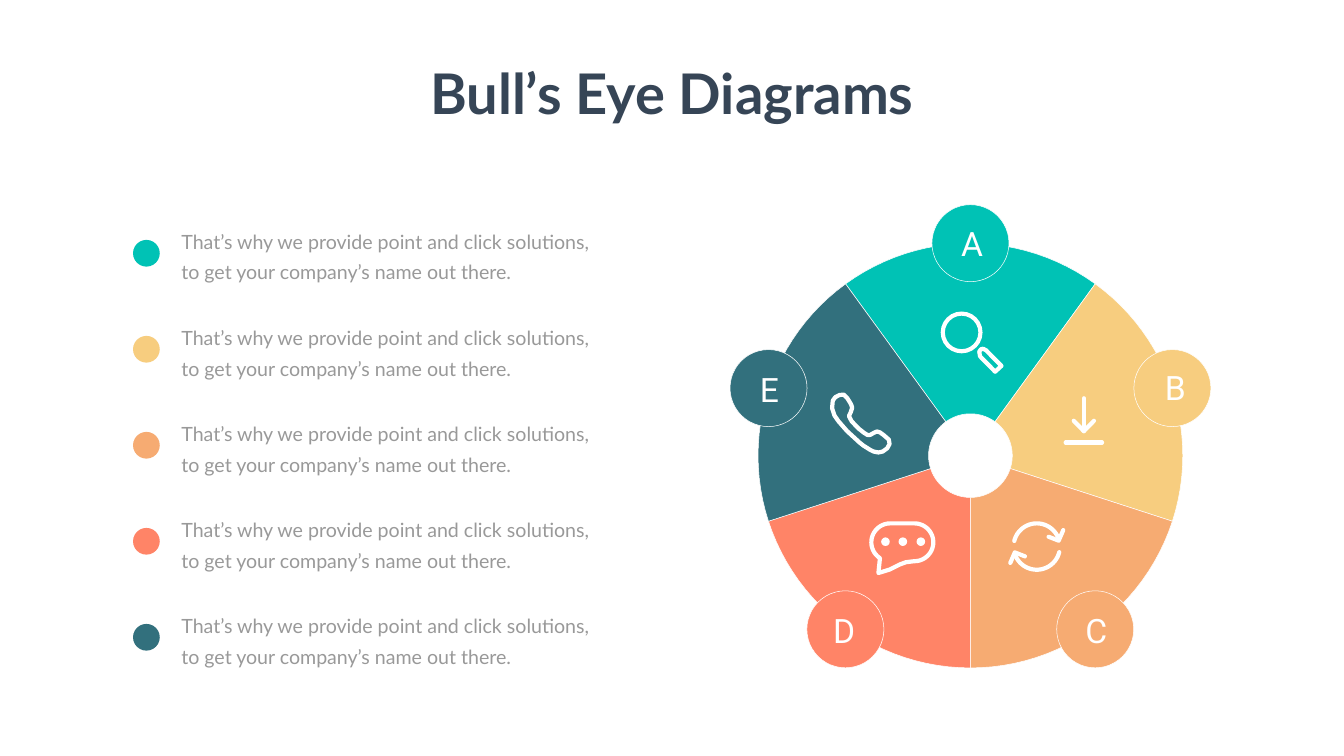
from dataclasses import dataclass
from math import cos, radians, sin

from lxml.etree import SubElement
from pptx import Presentation
from pptx.dml.color import RGBColor
from pptx.enum.shapes import MSO_SHAPE
from pptx.enum.text import MSO_ANCHOR, MSO_AUTO_SIZE, PP_ALIGN
from pptx.oxml.ns import qn
from pptx.util import Pt

Point = tuple[float, float]

WHITE = "FFFFFF"
CENTER = (1386, 650.9)
OUTER_RADIUS, INNER_RADIUS = 303.3, 59.8
BADGE_SIZE = 110
LETTER_WIDTH, LETTER_HEIGHT = 64.1, 65.5
DOT_SIZE, ROW_PITCH = 38.2, 137.15
ICON_STROKE = 6
MESSAGE = ("That’s why we provide point and click solutions, "
           "to get your company’s name out there.")


@dataclass
class Segment:
    letter: str
    color: str
    badge: Point          # centre of the badge
    letter_center: Point


SEGMENTS = [
    Segment("A", "00C2B5", (1386, 347.4), (1388.5, 347.4)),
    Segment("B", "F7CD7F", (1674.4, 554.4), (1678.7, 554)),
    Segment("C", "F6AB72", (1564.2, 899), (1565.6, 901)),
    Segment("D", "FF8467", (1207.4, 899), (1205.6, 901)),
    Segment("E", "32707D", (1097.6, 554.4), (1099, 556.2)),
]


def rgb(color: str) -> RGBColor:
    return RGBColor.from_string(color)


def arc(center: Point, radius: float, start: float, end: float) -> list[Point]:
    """Points along an arc, in degrees clockwise from the right."""
    steps = max(2, round(abs(end - start) / 3))
    angles = [radians(start + (end - start) * i / steps) for i in range(steps + 1)]
    return [(center[0] + radius * cos(a), center[1] + radius * sin(a)) for a in angles]


def paint(shape, fill: str | None, line: str | None = None, width: float = 0.75) -> None:
    shape.shadow.inherit = False
    if fill:
        shape.fill.solid()
        shape.fill.fore_color.rgb = rgb(fill)
    else:
        shape.fill.background()
    if line:
        shape.line.color.rgb = rgb(line)
        shape.line.width = Pt(width)
    else:
        shape.line.fill.background()


def add_outline(page, contours: list[list[Point]], closed: bool):
    """Freeform made of one or more contours."""
    first, *others = [[(Pt(x), Pt(y)) for x, y in contour] for contour in contours]
    builder = page.shapes.build_freeform(*first[0], scale=1.0)
    builder.add_line_segments(first[1:], close=closed)
    for contour in others:
        builder.move_to(*contour[0])
        builder.add_line_segments(contour[1:], close=closed)
    return builder.convert_to_shape()


def add_stroke(page, *contours: list[Point], closed: bool = False) -> None:
    """White icon line with round ends and corners."""
    shape = add_outline(page, list(contours), closed)
    paint(shape, None, WHITE, ICON_STROKE)
    line = shape._element.spPr.find(qn("a:ln"))
    line.set("cap", "rnd")
    SubElement(line, qn("a:round"))


def add_preset(page, kind, left: float, top: float, size: float, fill: str,
               line: str | None = None):
    shape = page.shapes.add_shape(kind, Pt(left), Pt(top), Pt(size), Pt(size))
    paint(shape, fill, line)
    return shape


def write(box, text: str, color: str, font: dict, paragraph: dict) -> None:
    para = box.text_frame.paragraphs[0]
    for name, value in paragraph.items():
        setattr(para, name, value)
    span = para.add_run()
    span.text = text
    span.font.color.rgb = rgb(color)
    for name, value in font.items():
        setattr(span.font, name, value)


def add_text(page, left: float, top: float, width: float, height: float,
             text: str, color: str, font: dict, paragraph: dict) -> None:
    box = page.shapes.add_textbox(Pt(left), Pt(top), Pt(width), Pt(height))
    box.text_frame.word_wrap = True
    write(box, text, color, font, paragraph)


def add_title(page) -> None:
    title = page.shapes.title
    place = {"left": Pt(600.5), "top": Pt(80.6), "width": Pt(718.6), "height": Pt(104.4)}
    for name, value in place.items():
        setattr(title, name, value)
    frame = {"word_wrap": False, "auto_size": MSO_AUTO_SIZE.NONE,
             "vertical_anchor": MSO_ANCHOR.TOP}
    for name, value in frame.items():
        setattr(title.text_frame, name, value)
    write(title, "Bull’s Eye Diagrams", "364556",
          {"name": "Lato", "size": Pt(80), "bold": True}, {"alignment": PP_ALIGN.CENTER})


def add_wheel(page) -> None:
    sweep = 360 / len(SEGMENTS)
    for index, segment in enumerate(SEGMENTS):
        start = -90 + (index - 0.5) * sweep
        end = start + sweep
        rim = arc(CENTER, OUTER_RADIUS, start, end)
        hole = arc(CENTER, INNER_RADIUS, end, start)
        paint(add_outline(page, [rim + hole], True), segment.color, WHITE)
    for segment in SEGMENTS:
        x, y = segment.badge
        add_preset(page, MSO_SHAPE.OVAL, x - BADGE_SIZE / 2, y - BADGE_SIZE / 2,
                   BADGE_SIZE, segment.color, WHITE)
    for segment in SEGMENTS:
        x, y = segment.letter_center
        add_text(page, x - LETTER_WIDTH / 2, y - LETTER_HEIGHT / 2,
                 LETTER_WIDTH, LETTER_HEIGHT, segment.letter, WHITE,
                 {"name": "Roboto", "size": Pt(48)}, {"alignment": PP_ALIGN.CENTER})


def add_legend(page) -> None:
    for row, segment in enumerate(SEGMENTS):
        offset = row * ROW_PITCH
        add_preset(page, MSO_SHAPE.OVAL, 190, 342.7 + offset, DOT_SIZE, segment.color)
        add_text(page, 252, 316.1 + offset, 615.6, 89.3, MESSAGE, "999999",
                 {"name": "Lato", "size": Pt(28)}, {"line_spacing": Pt(43)})


def add_magnifier(page) -> None:
    add_stroke(page, [(1421.3, 531), (1399.7, 509), (1398.6, 502.2), (1401, 499),
                      (1404, 498.2), (1408.3, 500.4), (1430.3, 522.7)], closed=True)
    lens = add_preset(page, MSO_SHAPE.DONUT, 1343.5, 445, 59.8, WHITE)
    lens.adjustments[0] = 0.1


def add_download(page) -> None:
    add_stroke(page, [(1548, 569), (1548, 616)],
               [(1533.6, 601.2), (1548, 616), (1562.4, 601.2)])
    add_stroke(page, [(1522, 632.2), (1574, 632.2)])


def add_refresh(page) -> None:
    middle = (1480.7, 780.8)
    curve = arc(middle, 33.1, 194, 338)
    head = [(1497.6, 766.8), (1512, 772.4), (1518.5, 757.4)]
    add_stroke(page, curve, head)
    turned = [[(2 * middle[0] - x, 2 * middle[1] - y) for x, y in contour]
              for contour in (curve, head)]
    add_stroke(page, *turned)


def add_phone(page) -> None:
    add_stroke(page, [
        (1205.3, 563.8), (1210.3, 569), (1215.5, 577.5), (1217.2, 582.5), (1215, 589),
        (1212.5, 594.4), (1216.4, 601.9), (1226.5, 612.4), (1234, 618.3), (1239, 621.4),
        (1243, 621.3), (1248, 618.4), (1252.5, 616.4), (1257, 617.8), (1262.2, 621.7),
        (1269.5, 628), (1270.5, 634.3), (1267.2, 640.4), (1260.7, 645.1), (1254.6, 646.4),
        (1248, 645.2), (1242.7, 642.6), (1233, 636.5), (1227.2, 631.8), (1209.6, 615.6),
        (1197.4, 601.6), (1191.8, 593.5), (1188.4, 583.2), (1189.4, 572.4),
        (1193, 567.4), (1199, 564.3)], closed=True)


def add_speech_bubble(page) -> None:
    right_cap = arc((1306, 774.7), 27, 90, -90)
    left_cap = arc((1271.5, 774.7), 27, -90, -237)
    tail = [(1254.6, 818.6), (1270.8, 813.6), (1285.2, 806.4), (1293.8, 803.2)]
    add_stroke(page, right_cap + left_cap + tail, closed=True)
    for left in (1309, 1283.3, 1258.5):
        add_preset(page, MSO_SHAPE.OVAL, left, 767.7, 12.3, WHITE)


def main() -> None:
    deck = Presentation()
    deck.slide_width, deck.slide_height = Pt(1919.5), Pt(1080)
    page = deck.slides.add_slide(deck.slide_layouts[5])
    add_title(page)
    add_wheel(page)
    add_legend(page)
    for add_icon in (add_magnifier, add_download, add_refresh, add_phone,
                     add_speech_bubble):
        add_icon(page)
    deck.save("out.pptx")


if __name__ == "__main__":
    main()
